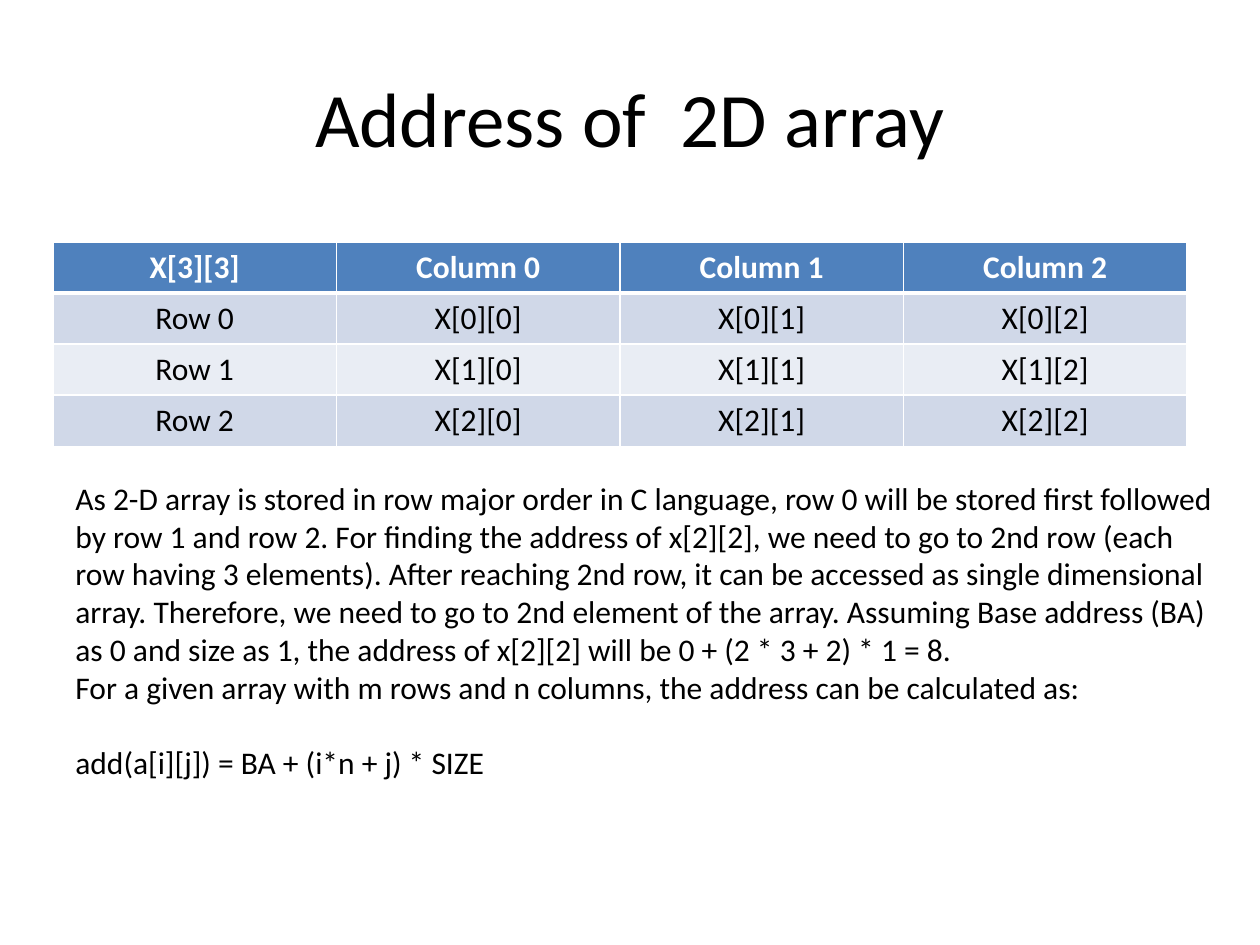
import lxml.etree
import pptx
import pptx.dml.color
import pptx.enum.text
import pptx.oxml.ns
import pptx.util

Inches = pptx.util.Inches
Pt = pptx.util.Pt
CENTER = pptx.enum.text.PP_ALIGN.CENTER
MIDDLE = pptx.enum.text.MSO_ANCHOR.MIDDLE

BLACK, WHITE = "000000", "FFFFFF"
HEADER_FILL = "4F81BD"
BAND_FILLS = ("D0D8E8", "E9EDF4")
ARRAY_SIZE = 3

EXPLANATION = (
    "As 2-D array is stored in row major order in C language, row 0 will be "
    "stored first followed by row 1 and row 2. For finding the address of "
    "x[2][2], we need to go to 2nd row (each row having 3 elements). After "
    "reaching 2nd row, it can be accessed as single dimensional array. "
    "Therefore, we need to go to 2nd element of the array. Assuming Base "
    "address (BA) as 0 and size as 1, the address of x[2][2] will be "
    "0 + (2 * 3 + 2) * 1 = 8."
)
FORMULA_INTRO = ("For a given array with m rows and n columns, "
                 "the address can be calculated as:")
FORMULA = "add(a[i][j]) = BA + (i*n + j) * SIZE"


def color(value):
    """Turn a hex string into a colour."""
    return pptx.dml.color.RGBColor.from_string(value)


def format_paragraph(paragraph, size, text_color=BLACK, bold=False, align=None):
    """Set the font and alignment of a paragraph."""
    paragraph.font.name = "Calibri"
    paragraph.font.size = Pt(size)
    paragraph.font.bold = bold
    paragraph.font.color.rgb = color(text_color)
    paragraph.alignment = align


def set_borders(cell, bottom_width):
    """Draw white borders of one point, with a chosen width at the bottom."""
    qualify = pptx.oxml.ns.qn
    properties = cell._tc.get_or_add_tcPr()
    widths = {"a:lnL": 1, "a:lnR": 1, "a:lnT": 1, "a:lnB": bottom_width}
    for tag, width in widths.items():
        line = lxml.etree.SubElement(properties, qualify(tag), w=str(Pt(width)))
        fill = lxml.etree.SubElement(line, qualify("a:solidFill"))
        lxml.etree.SubElement(fill, qualify("a:srgbClr"), val=WHITE)


def add_title(slide, left, top, width, height):
    """Fill and place the title placeholder."""
    title = slide.shapes.title
    title.left, title.top, title.width, title.height = left, top, width, height
    title.text_frame.text = "Address of  2D array"
    title.text_frame.vertical_anchor = MIDDLE
    format_paragraph(title.text_frame.paragraphs[0], 44, align=CENTER)


def add_array_table(slide, left, top, width, height):
    """Add the table that names every element of the array."""
    indexes = range(ARRAY_SIZE)
    rows = [[f"X[{ARRAY_SIZE}][{ARRAY_SIZE}]"] + [f"Column {j}" for j in indexes]]
    rows += [[f"Row {i}"] + [f"X[{i}][{j}]" for j in indexes] for i in indexes]
    table = slide.shapes.add_table(
        len(rows), len(rows[0]), left, top, width, height).table
    for row_index, texts in enumerate(rows):
        is_header = row_index == 0
        fill = HEADER_FILL if is_header else BAND_FILLS[(row_index - 1) % 2]
        for column_index, text in enumerate(texts):
            cell = table.cell(row_index, column_index)
            cell.text = text
            set_borders(cell, 3 if is_header else 1)
            cell.fill.solid()
            cell.fill.fore_color.rgb = color(fill)
            format_paragraph(cell.text_frame.paragraphs[0], 18,
                             WHITE if is_header else BLACK, is_header, CENTER)


def add_explanation(slide, left, top, width, height):
    """Add the explanation, with the formula set apart below it."""
    frame = slide.shapes.add_textbox(left, top, width, height).text_frame
    frame.word_wrap = True
    frame.auto_size = pptx.enum.text.MSO_AUTO_SIZE.SHAPE_TO_FIT_TEXT
    frame.text = "\n".join((EXPLANATION, FORMULA_INTRO, FORMULA))
    for paragraph in frame.paragraphs:
        format_paragraph(paragraph, 18)
    frame.paragraphs[-1].space_before = Pt(21.6)


def build_presentation():
    """Build and save the one-slide presentation."""
    presentation = pptx.Presentation()
    presentation.slide_width = Inches(10)
    presentation.slide_height = Inches(7.5)
    slide = presentation.slides.add_slide(
        presentation.slide_layouts.get_by_name("Title Only"))
    add_title(slide, Inches(0.5), Inches(0.3), Inches(9), Inches(1.25))
    add_array_table(slide, Inches(0.42), Inches(1.92), Inches(9), Inches(1.62))
    add_explanation(slide, Inches(0.5), Inches(3.75), Inches(9.25), Inches(2.52))
    presentation.save("out.pptx")


build_presentation()
